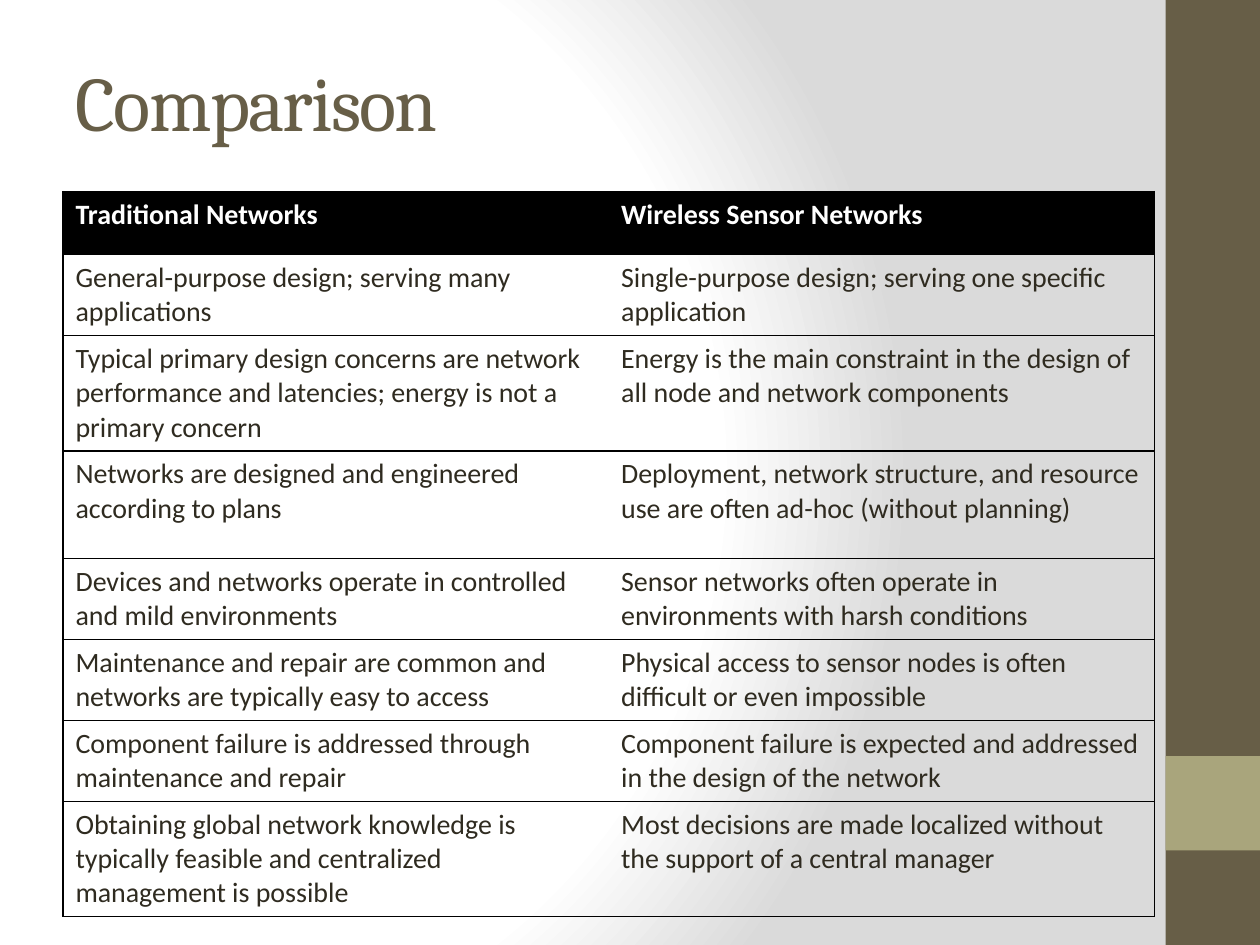
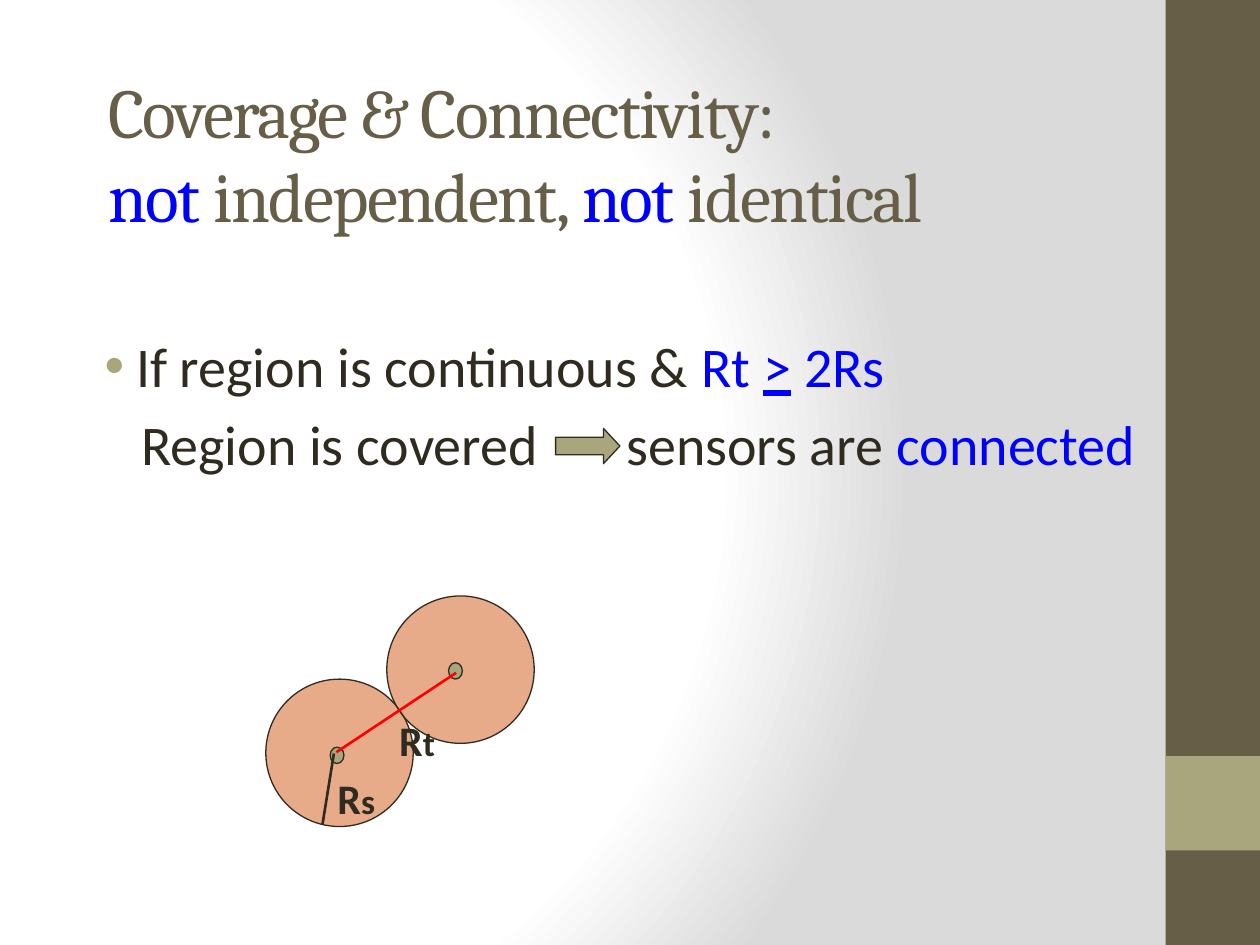
from lxml.etree import SubElement
from pptx import Presentation
from pptx.dml.color import RGBColor
from pptx.enum.shapes import MSO_CONNECTOR, MSO_SHAPE
from pptx.enum.text import MSO_ANCHOR, MSO_AUTO_SIZE, PP_ALIGN
from pptx.oxml import parse_xml
from pptx.oxml.ns import nsdecls, qn
from pptx.util import Inches, Pt

COLORS = {
    "brown": "675E47",
    "olive": "A9A57C",
    "text": "2F2B20",
    "accent": "0000FF",
    "range": "D25814",
    "link": "FF0000",
    "black": "000000",
    "white": "FFFFFF",
    "gray": "DADADA",
}
HEADING_FONT = "Cambria"
BODY_FONT = "Calibri"
NO_TABLE_STYLE = "{2D5ABB26-0587-4C30-8999-92F81FD0307C}"

NETWORK_ROWS = [
    (0.5, "Traditional Networks", "Wireless Sensor Networks"),
    (0.64, "General-purpose design; serving many applications",
     "Single-purpose design; serving one specific application"),
    (0.91, "Typical primary design concerns are network performance and "
     "latencies; energy is not a primary concern",
     "Energy is the main constraint in the design of all node and network components"),
    (0.85, "Networks are designed and engineered according to plans",
     "Deployment, network structure, and resource use are often ad-hoc (without planning)"),
    (0.64, "Devices and networks operate in controlled and mild environments",
     "Sensor networks often operate in environments with harsh conditions"),
    (0.64, "Maintenance and repair are common and networks are typically easy to access",
     "Physical access to sensor nodes is often difficult or even impossible"),
    (0.64, "Component failure is addressed through maintenance and repair",
     "Component failure is expected and addressed in the design of the network"),
    (0.91, "Obtaining global network knowledge is typically feasible and "
     "centralized management is possible",
     "Most decisions are made localized without the support of a central manager"),
]


def rgb(name):
    return RGBColor.from_string(COLORS[name])


def place(shape, left, top, width, height):
    shape.left, shape.top = Inches(left), Inches(top)
    shape.width, shape.height = Inches(width), Inches(height)


def add_run(paragraph, text, size, color="text", font=BODY_FONT, bold=False,
            underline=False, tracking=0):
    """Add a run; tracking is the extra space after each letter, in points."""
    run = paragraph.add_run()
    run.text = text
    run.font.size = Pt(size)
    run.font.name = font
    run.font.bold = bold
    run.font.color.rgb = rgb(color)
    if underline:
        run.font.underline = True
    if tracking:
        run.font._element.set("spc", str(tracking * 100))


def add_shape(slide, preset, box, fill, line=None, opacity=None):
    shape = slide.shapes.add_shape(preset, *map(Inches, box))
    shape.shadow.inherit = False
    shape.fill.solid()
    shape.fill.fore_color.rgb = rgb(fill)
    if opacity:
        color = shape.fill._xPr.find(qn("a:solidFill"))[0]
        SubElement(color, qn("a:alpha")).set("val", str(opacity * 1000))
    if line:
        shape.line.color.rgb = rgb(line)
        shape.line.width = Pt(0.75)
    else:
        shape.line.fill.background()
    return shape


def add_line(slide, start, end, color):
    line = slide.shapes.add_connector(MSO_CONNECTOR.STRAIGHT, *map(Inches, start + end))
    line.line.color.rgb = rgb(color)
    line.line.width = Pt(1.5)
    SubElement(line.element.spPr, qn("a:effectLst"))


def style_master(master, slide):
    """Give the master the gradient and the side bands, which are drawn on slide first."""
    stops = "".join(
        f'<a:gs pos="{position * 1000}"><a:srgbClr val="{COLORS[color]}"/></a:gs>'
        for position, color in ((0, "white"), (75, "white"), (100, "gray")))
    background = parse_xml(
        f'<p:bg {nsdecls("p", "a")}><p:bgPr><a:gradFill rotWithShape="1">'
        f'<a:gsLst>{stops}</a:gsLst><a:path path="circle">'
        '<a:fillToRect l="20000" t="50000" r="100000" b="50000"/></a:path>'
        '</a:gradFill><a:effectLst/></p:bgPr></p:bg>')
    content = master.element.cSld
    content.remove(content.find(qn("p:bg")))
    content.insert(0, background)
    for top, height, color in ((0, 7.5, "brown"), (6, 0.75, "olive")):
        band = add_shape(slide, MSO_SHAPE.RECTANGLE, (9.25, top, 0.75, height), color)
        content.spTree.append(band.element)


def add_title(slide, box, lines, size):
    """Fill the title; each line is a list of (text, color) runs."""
    title = slide.shapes.title
    place(title, *box)
    frame = title.text_frame
    frame.auto_size = MSO_AUTO_SIZE.NONE
    frame.vertical_anchor = MSO_ANCHOR.MIDDLE
    paragraph = frame.paragraphs[0]
    paragraph.alignment = PP_ALIGN.LEFT
    for index, runs in enumerate(lines):
        if index:
            paragraph.add_line_break()
        for text, color in runs:
            add_run(paragraph, text, size, color, HEADING_FONT, tracking=-1)


def set_borders(cell, sides):
    properties = cell._tc.get_or_add_tcPr()
    for side in sides:
        properties.append(parse_xml(
            f'<a:ln{side} {nsdecls("a")} w="9525"><a:solidFill>'
            f'<a:srgbClr val="{COLORS["black"]}"/></a:solidFill></a:ln{side}>'))


def add_comparison_table(slide, left, top, column_width, rows):
    height = sum(row[0] for row in rows)
    frame = slide.shapes.add_table(
        len(rows), 2, Inches(left), Inches(top), Inches(2 * column_width), Inches(height))
    table = frame.table
    table.horz_banding = False
    table._tbl.tblPr.find(qn("a:tableStyleId")).text = NO_TABLE_STYLE
    for column in table.columns:
        column.width = Inches(column_width)
    for row_index, (row_height, *texts) in enumerate(rows):
        table.rows[row_index].height = Inches(row_height)
        header = row_index == 0
        for column_index, text in enumerate(texts):
            cell = table.cell(row_index, column_index)
            set_borders(cell, ("LTB", "RTB")[column_index])
            if header:
                cell.fill.solid()
                cell.fill.fore_color.rgb = rgb("black")
            else:
                cell.fill.background()
            add_run(cell.text_frame.paragraphs[0], text, 16,
                    "white" if header else "text", bold=header)


def set_indent(paragraph, left, hanging=0):
    """Indent the paragraph; a hanging indent gets a bullet."""
    properties = paragraph._p.get_or_add_pPr()
    properties.set("marL", str(Inches(left)))
    properties.set("indent", str(-Inches(hanging)))
    if hanging:
        color = SubElement(properties, qn("a:buClr"))
        SubElement(color, qn("a:srgbClr")).set("val", COLORS["olive"])
        SubElement(properties, qn("a:buFont")).set("typeface", "Arial")
        SubElement(properties, qn("a:buChar")).set("char", "•")
    else:
        SubElement(properties, qn("a:buNone"))


def add_coverage_statement(slide):
    body = slide.placeholders[1]
    place(body, 0.6, 2.58, 8.63, 1.7)
    frame = body.text_frame
    frame.auto_size = MSO_AUTO_SIZE.NONE
    condition = frame.paragraphs[0]
    set_indent(condition, 0.38, hanging=0.25)
    condition.space_before = Pt(0)
    add_run(condition, "If region is continuous & ", 32)
    add_run(condition, "Rt ", 32, "accent")
    add_run(condition, ">", 32, "accent", underline=True)
    add_run(condition, " 2Rs", 32, "accent")
    conclusion = frame.add_paragraph()
    set_indent(conclusion, 0.42)
    conclusion.space_before = Pt(6)
    add_run(conclusion, "Region is covered", 32)
    add_run(conclusion, " ", 32, tracking=43)  # room for the arrow
    add_run(conclusion, "sensors are ", 32)
    add_run(conclusion, "connected", 32, "accent")
    implies = add_shape(slide, MSO_SHAPE.RIGHT_ARROW, (4.41, 3.4, 0.51, 0.28), "olive", "text")
    implies.adjustments[1] = 0.465


def add_radius_label(slide, left, top, subscript):
    label = slide.shapes.add_textbox(Inches(left), Inches(top), Inches(0.5), Inches(0.5))
    frame = label.text_frame
    frame.word_wrap = False
    frame.auto_size = MSO_AUTO_SIZE.SHAPE_TO_FIT_TEXT
    add_run(frame.paragraphs[0], "R", 24, bold=True)
    add_run(frame.paragraphs[0], subscript, 20, bold=True)


def add_sensor_diagram(slide):
    for left, top in ((2.11, 5.39), (3.07, 4.73)):
        add_shape(slide, MSO_SHAPE.OVAL, (left, top, 1.17, 1.17), "range", "text", opacity=50)
    for left, top in ((2.62, 5.93), (3.56, 5.26)):
        add_shape(slide, MSO_SHAPE.OVAL, (left, top, 0.11, 0.13), "olive", "text")
    add_line(slide, (2.65, 5.98), (2.56, 6.54), "text")
    add_radius_label(slide, 2.58, 6.08, "s")
    add_line(slide, (2.67, 5.97), (3.62, 5.34), "link")
    add_radius_label(slide, 3.07, 5.62, "t")


def main():
    deck = Presentation()
    deck.slide_width, deck.slide_height = Inches(10), Inches(7.5)

    comparison = deck.slides.add_slide(deck.slide_layouts.get_by_name("Title Only"))
    style_master(deck.slide_master, comparison)
    add_title(comparison, (0.5, 0.3, 8.33, 1), [[("Comparison", "brown")]], 44)
    add_comparison_table(comparison, 0.5, 1.52, 4.33, NETWORK_ROWS)

    coverage = deck.slides.add_slide(deck.slide_layouts.get_by_name("Title and Content"))
    add_title(coverage, (0.76, 0.46, 8.18, 1.5), [
        [("Coverage & Connectivity: ", "brown")],
        [("not", "accent"), (" independent, ", "brown"),
         ("not", "accent"), (" identical", "brown")],
    ], 40)
    add_coverage_statement(coverage)
    add_sensor_diagram(coverage)

    deck.save("out.pptx")


if __name__ == "__main__":
    main()
